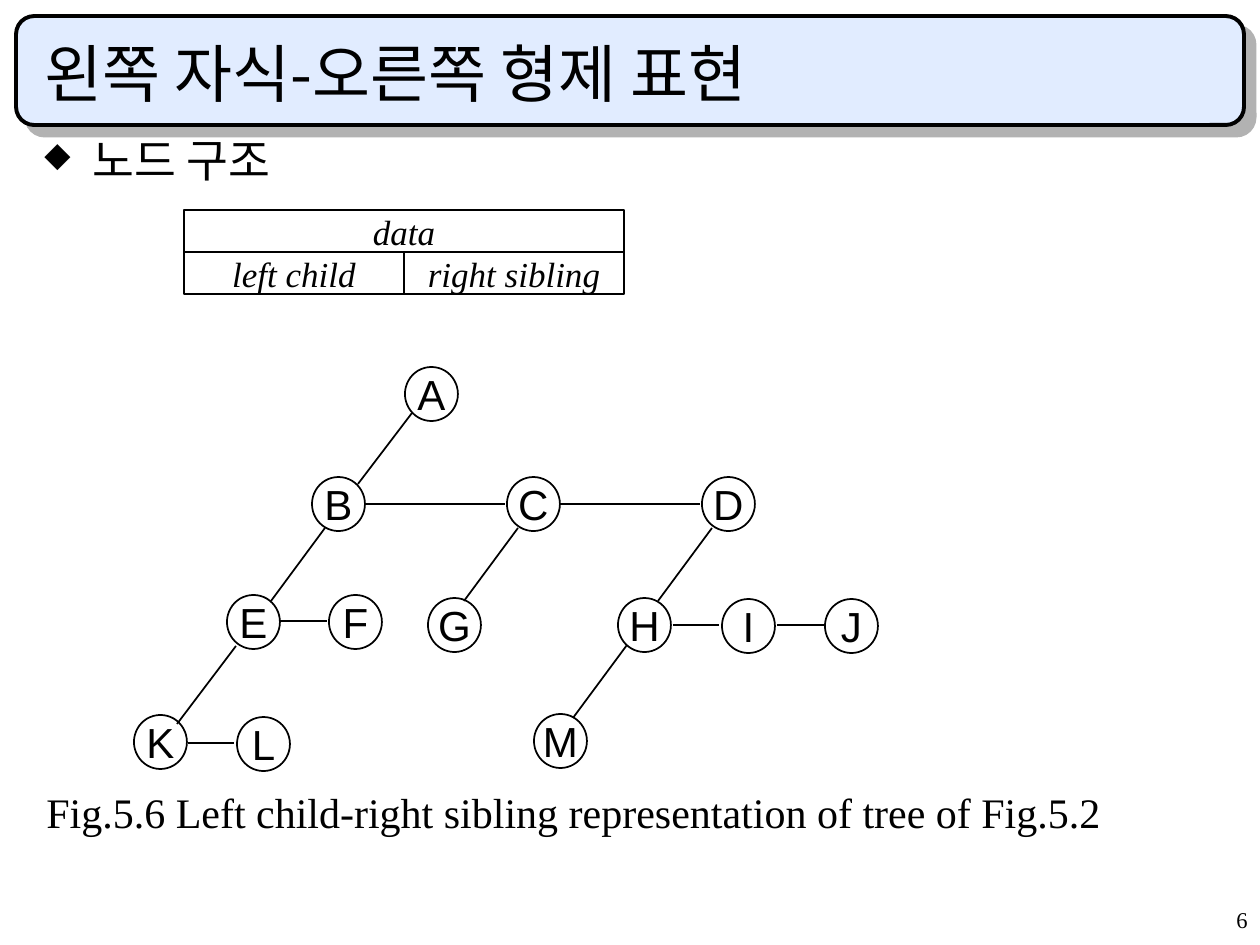
from pptx import Presentation
from pptx.dml.color import RGBColor
from pptx.enum.shapes import MSO_CONNECTOR as CONN, MSO_SHAPE as SHAPE
from pptx.enum.text import MSO_ANCHOR as ANCHOR, PP_ALIGN as ALIGN
from pptx.oxml import parse_xml
from pptx.oxml.ns import nsdecls
from pptx.util import Emu, Pt


def color(fmt, value):
    if hasattr(fmt, "solid"):
        fmt.solid()
        fmt = fmt.fore_color
    else:
        fmt = fmt.color
    fmt.rgb = RGBColor.from_string(value)


def write(sp, text, size, name, italic=False, anchor=ANCHOR.TOP, wrap=True, indent=0, bullet=None, **fmt):
    tf = sp.text_frame
    tf.word_wrap = wrap
    tf.vertical_anchor = anchor
    p = tf.paragraphs[0]
    if indent:
        pPr = p._p.get_or_add_pPr()
        pPr.set("marL", str(px(indent)))
        pPr.set("indent", str(-px(indent)))
    if bullet:
        for tag in ('buClr %s><a:srgbClr val="000000"/></a:buClr', 'buSzPct %s val="75000"/',
                    f'buChar %s char="{bullet}"/'):
            pPr.append(parse_xml("<a:" + tag % nsdecls("a") + ">"))
    for key, value in fmt.items():
        setattr(p, key, value)
    r = p.add_run()
    r.text = text
    for key, value in {"size": Pt(size), "name": name, "italic": italic}.items():
        setattr(r.font, key, value)
    color(r.font, "000000")
    r._r.get_or_add_rPr().append(parse_xml(f'<a:ea {nsdecls("a")} typeface="{KOREAN}"/>'))


px = lambda n: Emu(round(n * 914400 / 126))
SERIF, SANS, KOREAN = "Times New Roman", "Arial", "Noto Sans CJK KR"

prs = Presentation()
prs.slide_width, prs.slide_height = px(1260), px(945)
s = prs.slides.add_slide(prs.slide_layouts[6])

sp = s.shapes.add_shape(SHAPE.ROUNDED_RECTANGLE, px(16), px(16), px(1228), px(109))
color(sp.fill, "E1ECFF")
color(sp.line, "000000")
sp.line.width = Pt(2.25)
sp._element.spPr.append(parse_xml(
    f'<a:effectLst {nsdecls("a")}><a:outerShdw blurRad="0" dist="{Pt(8.5)}" dir="2700000" '
    'algn="tl" rotWithShape="0"><a:srgbClr val="B2B2B2"/></a:outerShdw></a:effectLst>'))

for box, text, size, name, fmt in [
    ((998, 903, 262, 42), "6", 12.9, SERIF, {"alignment": ALIGN.RIGHT, "line_spacing": 0.9}),
    ((32, 32, 1187, 84), "왼쪽 자식-오른쪽 형제 표현", 36, KOREAN, {"anchor": ANCHOR.BOTTOM}),
    ((32, 136, 1187, 68), "노드 구조", 26, SERIF, {"indent": 48, "bullet": "◆", "line_spacing": 0.8}),
    ((34, 790, 1187, 68), "Fig.5.6 Left child-right sibling representation of tree of Fig.5.2", 24, SERIF,
     {"indent": 48, "line_spacing": 0.8}),
]:
    sp = s.shapes.add_textbox(*map(px, box))
    write(sp, text, size, name, **fmt)

for x, y, w, text in [(184, 252, 220, "left child"), (404, 252, 220, "right sibling"), (184, 210, 440, "data")]:
    sp = s.shapes.add_shape(SHAPE.RECTANGLE, px(x), px(y), px(w), px(42))
    sp.shadow.inherit = False
    color(sp.fill, "FFFFFF")
    color(sp.line, "000000")
    sp.line.width = Pt(0.75)
    write(sp, text, 20, SERIF, italic=True, anchor=ANCHOR.MIDDLE, wrap=False, alignment=ALIGN.CENTER)

nodes = {
    "A": (405, 367), "B": (312, 477), "E": (227, 595), "K": (134, 715), "L": (237, 717),
    "F": (329, 595), "G": (428, 598), "C": (507, 477), "D": (702, 477), "H": (618, 598),
    "M": (534, 714), "I": (722, 599), "J": (825, 599),
}
for label, (x, y) in nodes.items():
    sp = s.shapes.add_shape(SHAPE.OVAL, px(x), px(y), px(53), px(54))
    sp.shadow.inherit = False
    sp.fill.background()
    color(sp.line, "000000")
    sp.line.width = Pt(1)
    write(sp, label, 24, SANS, anchor=ANCHOR.MIDDLE, wrap=False, alignment=ALIGN.CENTER)

child_links = [
    (412, 413, 358, 484), (325, 528, 271, 601), (236, 646, 177, 724),
    (518, 528, 464, 601), (712, 528, 658, 601), (627, 645, 573, 718),
]
sibling_links = [
    (x1, y, x2, y) for x1, x2, y in
    [(366, 505, 504), (560, 700, 504), (280, 327, 621), (673, 719, 625), (777, 824, 625), (188, 234, 743)]
]
for ends in child_links + sibling_links:
    line = s.shapes.add_connector(CONN.STRAIGHT, *map(px, ends))
    color(line.line, "000000")
    line.line.width = Pt(1)
    line._element.spPr.append(parse_xml(f'<a:effectLst {nsdecls("a")}/>'))

prs.save("out.pptx")
